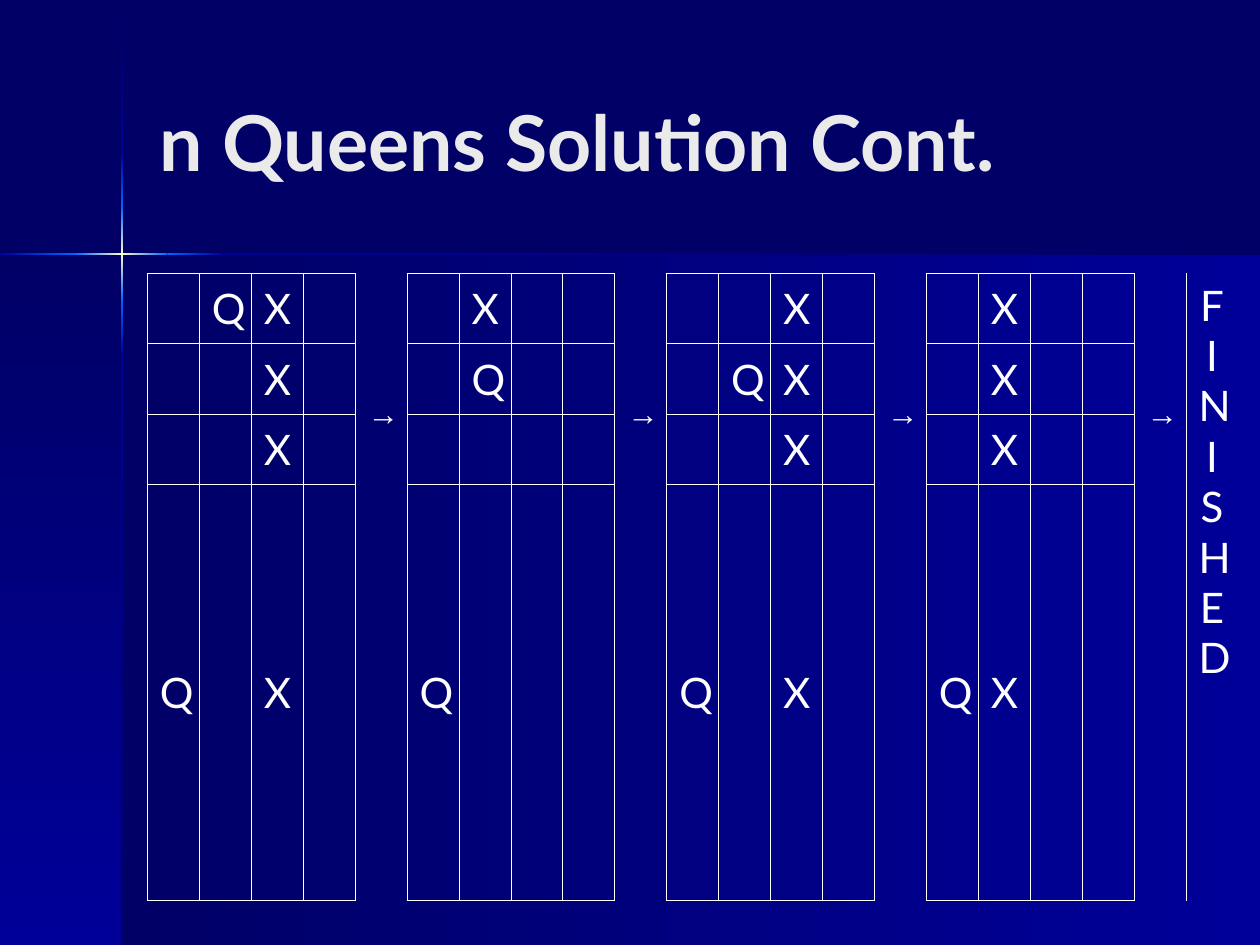
from lxml.etree import SubElement
from pptx import Presentation
from pptx.dml.color import RGBColor
from pptx.enum.shapes import MSO_SHAPE
from pptx.enum.text import MSO_ANCHOR, PP_ALIGN
from pptx.oxml.ns import qn
from pptx.util import Cm, Pt

COLOURS = {
    "night": "000066",
    "navy": "000099",
    "azure": "0066FF",
    "glow": "FFFFCC",
    "title": "EAEAEA",
    "white": "FFFFFF",
}
NO_STYLE_NO_GRID = "{2D5ABB26-0587-4C30-8999-92F81FD0307C}"
DOWN, LEFTWARD = 90, 180

# Left, top, width, height in cm, gradient direction, gradient stops
BACKDROP = [
    (2.46, 5.13, 22.94, 13.92, LEFTWARD, ["navy", "night"]),
    (0, 5.13, 2.46, 13.92, DOWN, ["night", "navy"]),
    (2.44, 0.03, 0.05, 3.04, DOWN, ["night", "navy"]),
    (2.44, 7.16, 0.05, 11.89, DOWN, ["navy", "night"]),
    (4.5, 5.1, 20.9, 0.05, LEFTWARD, ["night", "navy"]),
    (2.44, 6.05, 0.05, 1.11, DOWN, ["azure", "navy"]),
    (2.44, 3.07, 0.05, 1.12, DOWN, ["navy", "azure"]),
    (2.44, 4.19, 0.05, 1.86, DOWN, ["azure", "glow", "azure"]),
    (0, 5.1, 1.54, 0.05, LEFTWARD, ["azure", "navy"]),
    (3.38, 5.1, 1.12, 0.05, LEFTWARD, ["navy", "azure"]),
    (1.53, 5.1, 1.85, 0.05, LEFTWARD, ["azure", "glow", "azure"]),
]

# Four boards, each row from top to bottom; a dot is an empty square
BOARDS = [
    [".QX.", "..X.", "..X.", "Q.X."],
    [".X..", ".Q..", "....", "Q..."],
    ["..X.", ".QX.", "..X.", "Q.X."],
    [".X..", ".X..", ".X..", "QX.."],
]
BOARD_SIZE = 4
BLOCK = BOARD_SIZE + 1  # a board and the arrow column after it
COLUMNS = len(BOARDS) * BLOCK + 1
ROW_HEIGHTS = [1.42, 1.42, 1.42, 4.1]


def write_text(frame, text, size=24, font="Lato", colour="white", bold=False,
               align=PP_ALIGN.CENTER, before=6):
    para = frame.paragraphs[0]
    para.alignment = align
    para.space_before = Pt(before)
    span = para.add_run()
    span.text = text
    span.font.size = Pt(size)
    span.font.name = font
    span.font.bold = bold
    span.font.color.rgb = RGBColor.from_string(COLOURS[colour])


def draw_borders(cell, sides):
    """Rule the given sides (from L, R, T, B) of a table cell in white."""
    properties = cell._tc.get_or_add_tcPr()
    for side in sides:
        line = SubElement(properties, qn(f"a:ln{side}"), w=str(Pt(0.45)))
        solid = SubElement(line, qn("a:solidFill"))
        SubElement(solid, qn("a:srgbClr"), val=COLOURS["white"])


deck = Presentation()
deck.slide_width, deck.slide_height = Cm(25.4), Cm(19.05)
page = deck.slides.add_slide(deck.slide_layouts[5])
page.background.fill.solid()
page.background.fill.fore_color.rgb = RGBColor.from_string(COLOURS["night"])

# Backdrop panels and the glowing cross
for left, top, width, height, direction, names in BACKDROP:
    panel = page.shapes.add_shape(
        MSO_SHAPE.RECTANGLE, Cm(left), Cm(top), Cm(width), Cm(height))
    panel.shadow.inherit = False
    panel.line.fill.background()
    panel.fill.gradient()
    panel.fill.gradient_angle = 360 - direction
    stops = panel._element.spPr.find(f".//{qn('a:gsLst')}")
    stops.clear()
    for index, name in enumerate(names):
        position = 100000 * index // (len(names) - 1)
        stop = SubElement(stops, qn("a:gs"), pos=str(position))
        SubElement(stop, qn("a:srgbClr"), val=COLOURS[name])

title = page.shapes.title
title.left, title.top = Cm(2.97), Cm(0.84)
title.width, title.height = Cm(20.96), Cm(3.99)
title.text_frame.word_wrap = True
title.text_frame.vertical_anchor = MSO_ANCHOR.MIDDLE
write_text(title.text_frame, "n Queens Solution Cont.", size=44, bold=True,
           colour="title", align=PP_ALIGN.LEFT, before=0)

# One table holds the boards, the arrows between them and the closing word
table = page.shapes.add_table(
    len(ROW_HEIGHTS), COLUMNS, Cm(2.97), Cm(5.51), Cm(22), Cm(8.36)).table
table.first_row = table.horz_banding = False
table._tbl.tblPr.find(qn("a:tableStyleId")).text = NO_STYLE_NO_GRID
for column in table.columns:
    column.width = Cm(22 / COLUMNS)
for row, height in zip(table.rows, ROW_HEIGHTS):
    row.height = Cm(height)

for row_index in range(len(ROW_HEIGHTS)):
    for column_index in range(COLUMNS):
        cell = table.cell(row_index, column_index)
        block, offset = divmod(column_index, BLOCK)
        if block < len(BOARDS) and offset < BOARD_SIZE:
            draw_borders(cell, "LRTB")
            mark = BOARDS[block][row_index][offset]
            if mark != ".":
                write_text(cell.text_frame, mark)
        elif block < len(BOARDS):
            draw_borders(cell, "L" if block == len(BOARDS) - 1 else "LR")
        cell.fill.background()
        cell.vertical_anchor = MSO_ANCHOR.MIDDLE

for arrow_column in range(BOARD_SIZE, COLUMNS - 1, BLOCK):
    arrow = table.cell(1, arrow_column)
    arrow.merge(table.cell(2, arrow_column))
    write_text(arrow.text_frame, "→", size=18, font="Arial", before=4.5)

closing = table.cell(0, COLUMNS - 1)
closing.merge(table.cell(len(ROW_HEIGHTS) - 1, COLUMNS - 1))
closing.vertical_anchor = MSO_ANCHOR.TOP
write_text(closing.text_frame, "FINISHED")

deck.save("out.pptx")
